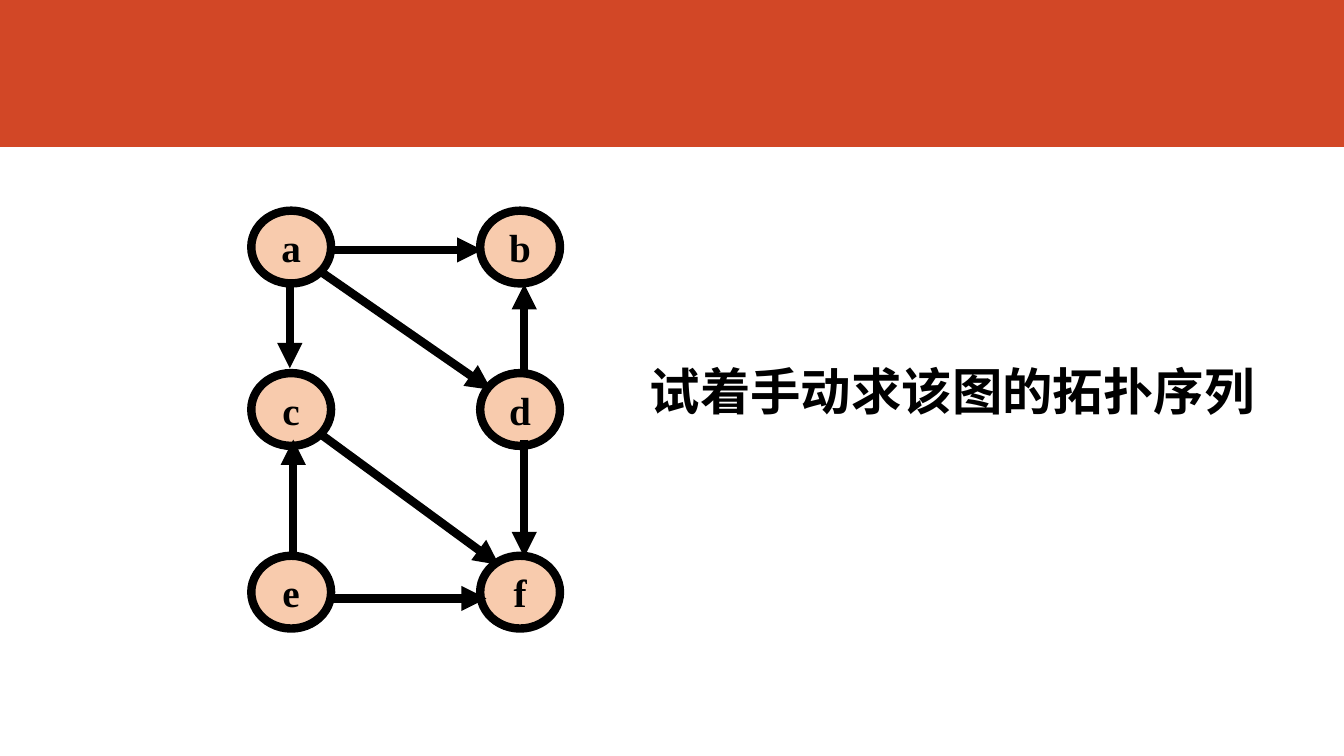
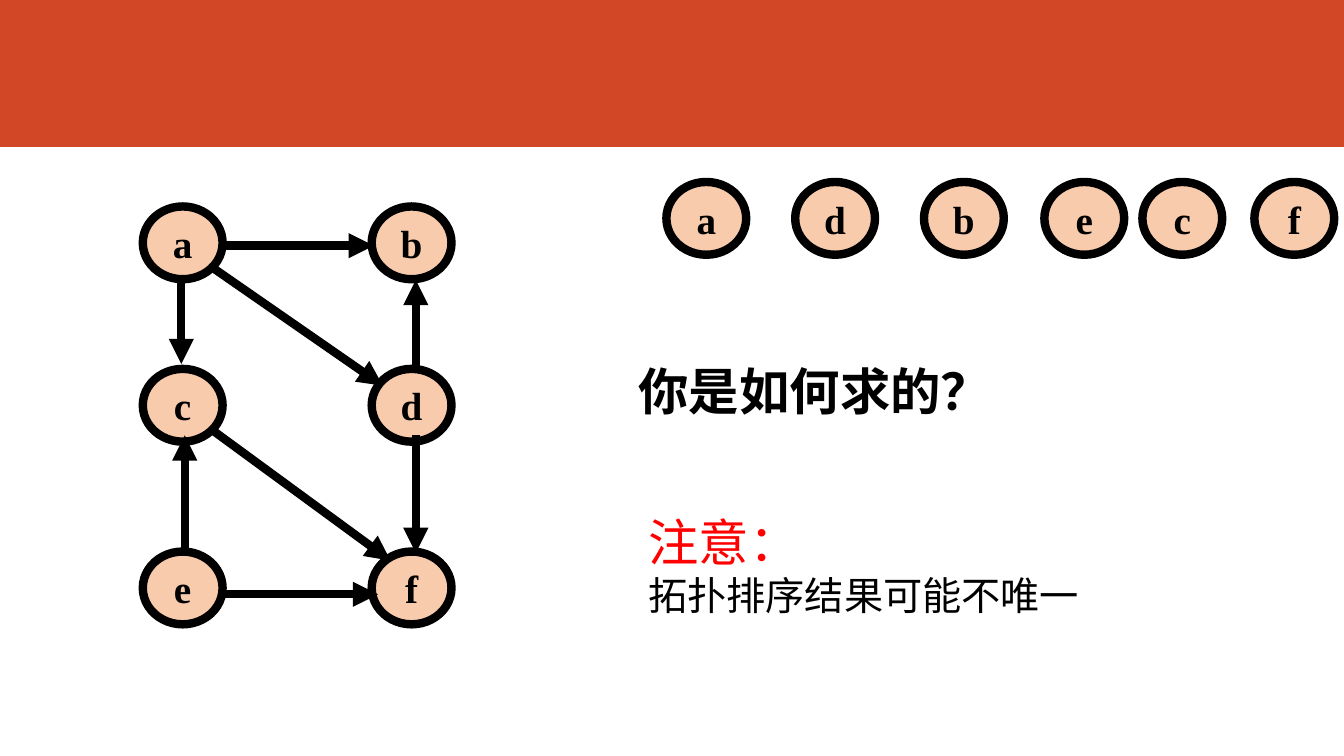
from itertools import product

from lxml.etree import SubElement
from pptx import Presentation
from pptx.dml.color import RGBColor
from pptx.enum.shapes import MSO_CONNECTOR, MSO_SHAPE
from pptx.enum.text import MSO_ANCHOR, MSO_AUTO_SIZE, PP_ALIGN
from pptx.oxml.ns import qn
from pptx.util import Pt

SLIDE_WIDTH, SLIDE_HEIGHT = 960, 540
BAND_HEIGHT = 105
BAND_COLOR = "D24726"
NODE_COLOR = "F8CBAD"
INK = "000000"
WARNING = "FF0000"
NODE_FONT = "Times New Roman"
CHINESE_FONT = "Noto Sans CJK SC"
NOTE_FONT = "Roboto"
NODE_WIDTH, NODE_HEIGHT = 57, 52
STROKE = 6

COLUMNS = (0, 163.5)
ROWS = (0, 116, 246.5)
NODES = dict(zip("abcdef", product(ROWS, COLUMNS)))
EDGES = (
    ((57.5, 28), (165, 28)),
    ((27.5, 52.5), (27.5, 112.5)),
    ((55, 277), (168, 277)),
    ((30, 247.5), (30, 163.5)),
    ((195, 163.5), (195, 247.5)),
    ((195, 115), (195, 52.5)),
    ((51, 44.5), (171.5, 128)),
    ((48, 158.5), (177, 253)),
)
ORDER = {"a": 476, "d": 568, "b": 660, "e": 746, "c": 816, "f": 896}
ORDER_TOP = 130


def rgb(color):
    return RGBColor.from_string(color)


def style_paragraph(paragraph, size, font, color=INK, bold=False):
    for run in paragraph.runs:
        run.font.size = Pt(size)
        run.font.name = font
        run.font.bold = bold
        run.font.color.rgb = rgb(color)
        properties = run.font._element
        SubElement(properties, qn("a:ea")).set("typeface", CHINESE_FONT)


def add_band(slide, layout):
    layout_tree = layout.shapes.element
    for placeholder in list(layout.placeholders):
        layout_tree.remove(placeholder.element)
    band = slide.shapes.add_shape(
        MSO_SHAPE.RECTANGLE, 0, 0, Pt(SLIDE_WIDTH), Pt(BAND_HEIGHT)
    )
    band.shadow.inherit = False
    band.fill.solid()
    band.fill.fore_color.rgb = rgb(BAND_COLOR)
    band.line.fill.background()
    layout_tree.append(band.element)


def add_node(shapes, label, left, top):
    node = shapes.add_shape(
        MSO_SHAPE.OVAL, Pt(left), Pt(top), Pt(NODE_WIDTH), Pt(NODE_HEIGHT)
    )
    node.shadow.inherit = False
    node.fill.solid()
    node.fill.fore_color.rgb = rgb(NODE_COLOR)
    node.line.color.rgb = rgb(INK)
    node.line.width = Pt(STROKE)
    frame = node.text_frame
    frame.text = label
    frame.word_wrap = False
    frame.vertical_anchor = MSO_ANCHOR.MIDDLE
    frame.paragraphs[0].alignment = PP_ALIGN.CENTER
    style_paragraph(frame.paragraphs[0], 28, NODE_FONT, bold=True)


def add_edge(shapes, start, end):
    edge = shapes.add_connector(
        MSO_CONNECTOR.STRAIGHT, *(Pt(length) for length in (*start, *end))
    )
    edge.line.color.rgb = rgb(INK)
    edge.line.width = Pt(STROKE)
    properties = edge.element.spPr
    outline = properties.find(qn("a:ln"))
    SubElement(outline, qn("a:tailEnd")).set("type", "triangle")
    SubElement(properties, qn("a:effectLst"))


def add_graph(slide, left, top):
    graph = slide.shapes.add_group_shape().shapes
    for label, (row, column) in NODES.items():
        add_node(graph, label, left + column, top + row)
    for ends in EDGES:
        add_edge(graph, *((left + x, top + y) for x, y in ends))


def add_order(slide):
    for label, left in ORDER.items():
        add_node(slide.shapes, label, left, ORDER_TOP)


def add_text(slide, text, left, top, width, height, wrap=False):
    box = slide.shapes.add_textbox(Pt(left), Pt(top), Pt(width), Pt(height))
    frame = box.text_frame
    frame.text = text
    frame.word_wrap = wrap
    frame.auto_size = MSO_AUTO_SIZE.SHAPE_TO_FIT_TEXT
    return frame.paragraphs


def add_question(slide, text, left, width):
    (question,) = add_text(slide, text, left, 253.5, width, 51)
    style_paragraph(question, 36, CHINESE_FONT, bold=True)


def add_note(slide):
    heading, remark = add_text(
        slide, "注意：\n拓扑排序结果可能不唯一", 456, 361.5, 375, 85, wrap=True
    )
    style_paragraph(heading, 36, CHINESE_FONT, WARNING)
    style_paragraph(remark, 28, NOTE_FONT)


def main():
    presentation = Presentation()
    presentation.slide_width = Pt(SLIDE_WIDTH)
    presentation.slide_height = Pt(SLIDE_HEIGHT)
    blank = presentation.slide_layouts[6]

    exercise = presentation.slides.add_slide(blank)
    add_band(exercise, blank)
    add_graph(exercise, 179.5, 150.5)
    add_question(exercise, "试着手动求该图的拓扑序列", 457, 452)

    answer = presentation.slides.add_slide(blank)
    add_order(answer)
    add_question(answer, "你是如何求的？", 449, 270)
    add_note(answer)
    add_graph(answer, 102, 147.5)

    presentation.save("out.pptx")


if __name__ == "__main__":
    main()
